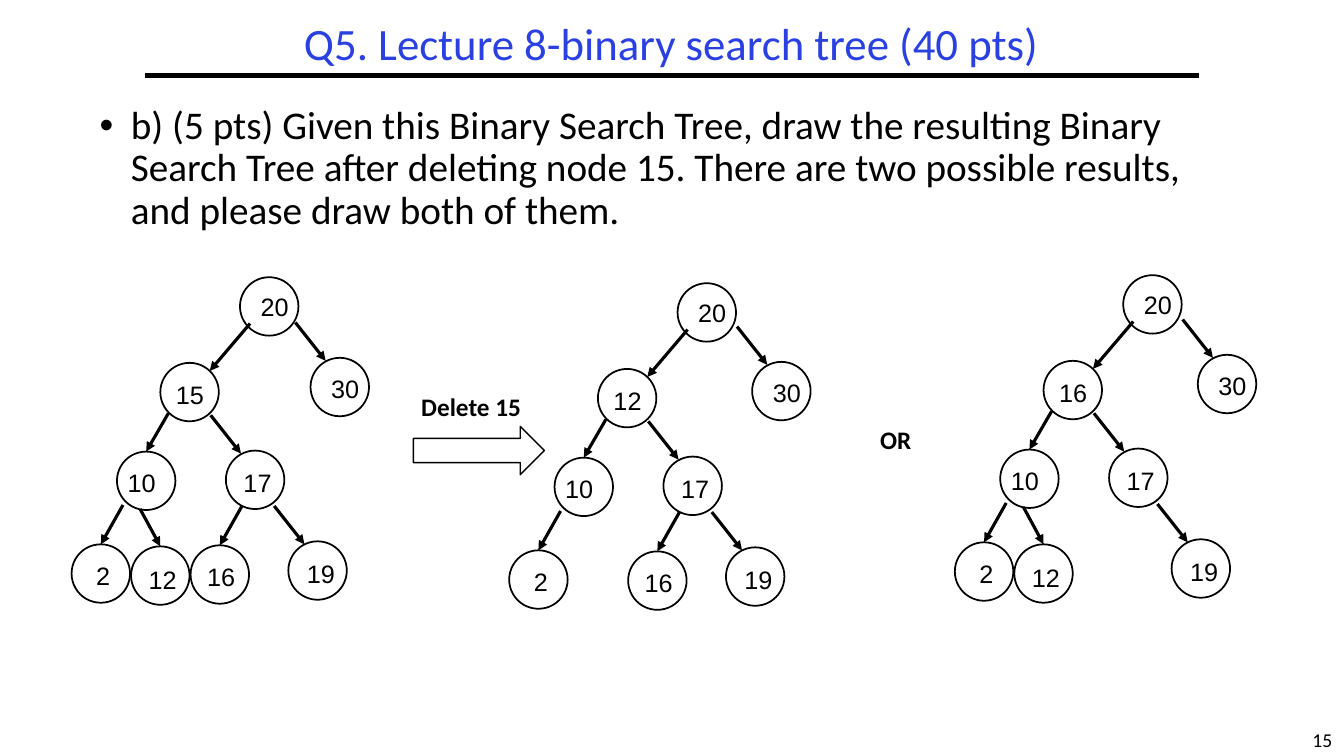
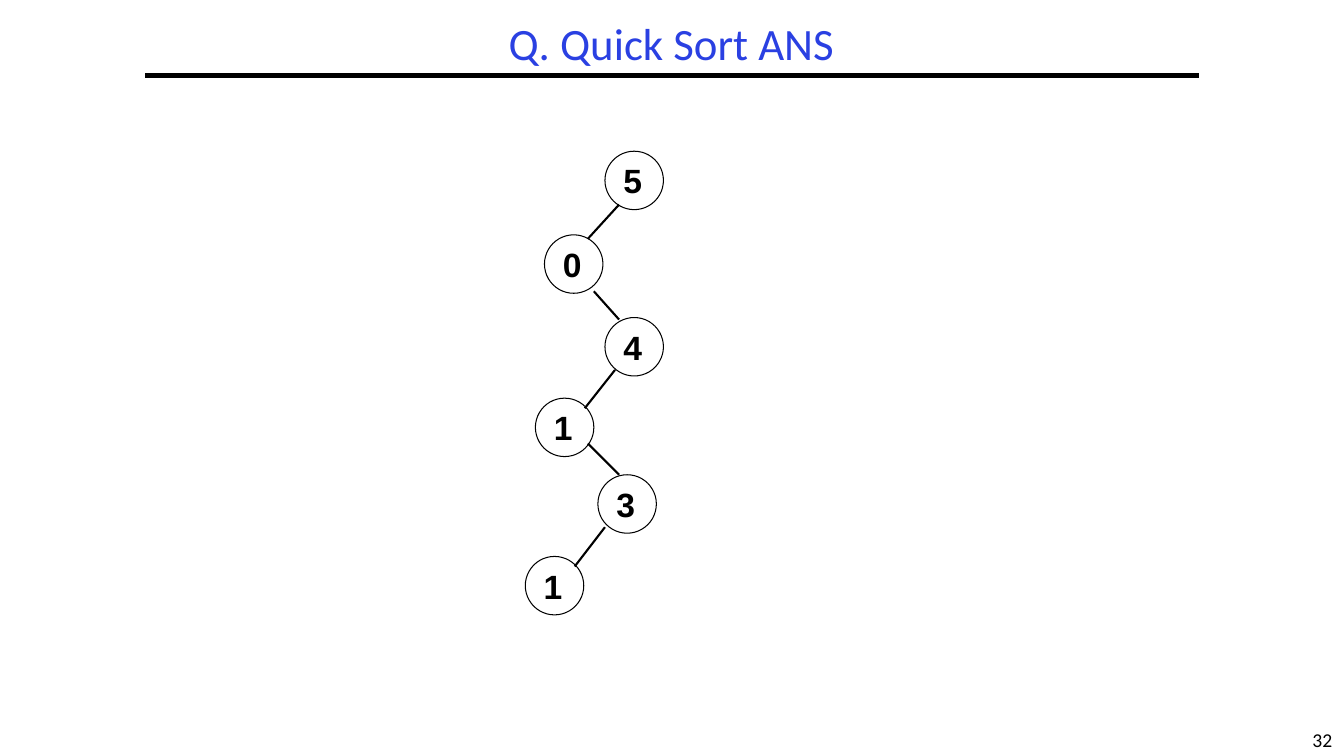
from lxml import etree
from pptx import Presentation
from pptx import util as u
from pptx.dml.color import RGBColor
from pptx.enum import shapes, text
from pptx.oxml import ns

# Lengths are px, 100 to the inch
PX = 9144
BLACK = RGBColor(0, 0, 0)
WHITE = RGBColor(255, 255, 255)
TITLE_BLUE = RGBColor(0x2A, 0x40, 0xE2)
LEFT, CENTER = text.PP_ALIGN.LEFT, text.PP_ALIGN.CENTER
TOP, MIDDLE = text.MSO_ANCHOR.TOP, text.MSO_ANCHOR.MIDDLE

TITLE_FONT = {"name": "Calibri", "size": u.Pt(32)}
BODY_FONT = {"name": "Calibri", "size": u.Pt(28)}
LABEL_FONT = {"name": "Calibri", "size": u.Pt(18), "bold": True}
PAGE_FONT = {"name": "Calibri", "size": u.Pt(14)}
TREE_FONT = {"name": "Arial", "size": u.Pt(18)}
CHAIN_FONT = {"name": "Arial", "size": u.Pt(24), "bold": True}

NODE = 58           # circle diameter
ELLIPSE_MARGIN = 8  # gap between a circle's frame and its text area

# Slide 1: question and trees
QUESTION = (
    "b) (5 pts) Given this Binary Search Tree, draw the resulting Binary "
    "Search Tree after deleting node 15. There are two possible results, "
    "and please draw both of them."
)
BULLET_INDENT = 31
# slot: circle position from the root, number position in the circle, arrow from parent
SLOTS = {
    "root": ((0, 0), (20, 14), None),
    "left": ((-79, 85), (15, 16), (10, 46, -30, 93)),
    "right": ((70, 80), (20, 15), (55, 45, 85, 83)),
    "left-left": ((-122, 173), (10, 15), (-71, 135, -93, 173)),
    "left-right": ((-14, 172), (17, 16), (-29, 137, 1, 175)),
    "leaf 1": ((-167, 265), (24, 15), (-116, 226, -138, 265)),
    "leaf 2": ((-108, 267), (17, 17), (-99, 230, -79, 267)),
    "leaf 3": ((-49, 266), (16, 15), (2, 227, -20, 266)),
    "leaf 4": ((48, 262), (18, 16), (34, 227, 64, 265)),
}
# root position, shift of the right child, numbers in slot order (None: no node)
TREES = [
    ((238, 275), (0, 0), (20, 15, 30, 10, 17, 2, 12, 16, 19)),
    ((672, 281), (4, -2), (20, 12, 30, 10, 17, 2, None, 16, 19)),
    ((1114, 273), (4, -1), (20, 16, 30, 10, 17, 2, 12, None, 19)),
]
LABELS = [("Delete 15", (408, 383, 126, 40)), ("OR", (863, 416, 63, 40))]
DELETE_ARROW = (410, 423, 130, 48)

# Slide 2: chain of pivots and the lines between them
PIVOTS = [(5, 600, 150), (0, 540, 233), (4, 600, 315),
          (1, 531, 395), (3, 593, 471), (1, 521, 552)]
PIVOT_LINES = [(614, 203, 583, 237), (589, 289, 614, 317), (610, 367, 580, 405),
               (583, 440, 614, 471), (600, 523, 570, 562)]


def px(*values):
    return [u.Emu(value * PX) for value in values]


def apply(target, **values):
    for name, value in values.items():
        setattr(target, name, value)


def fill_frame(frame, words, font, color=BLACK, align=LEFT, anchor=TOP,
               margins=(10, 5, 10, 5), wrap=True, spacing=1.0, bullet=False):
    left, top, right, bottom = px(*margins)
    apply(frame, word_wrap=wrap, vertical_anchor=anchor, margin_left=left,
          margin_top=top, margin_right=right, margin_bottom=bottom)
    paragraph = frame.paragraphs[0]
    apply(paragraph, alignment=align, line_spacing=spacing)
    if bullet:
        properties = paragraph._p.get_or_add_pPr()
        properties.set("marL", str(BULLET_INDENT * PX))
        properties.set("indent", str(-BULLET_INDENT * PX))
        etree.SubElement(properties, ns.qn("a:buFont"), typeface="Arial")
        etree.SubElement(properties, ns.qn("a:buChar"), char="•")
    run = paragraph.add_run()
    run.text = str(words)
    apply(run.font, **font)
    run.font.color.rgb = color


def add_text(slide, box, words, font, **layout):
    fill_frame(slide.shapes.add_textbox(*px(*box)).text_frame, words, font, **layout)


def add_outline(slide, kind, box, width):
    shape = slide.shapes.add_shape(kind, *px(*box))
    shape.shadow.inherit = False
    shape.fill.solid()
    shape.fill.fore_color.rgb = WHITE
    shape.line.color.rgb = BLACK
    shape.line.width = u.Pt(width)
    return shape


def add_node(slide, x, y, number, width, font, **layout):
    circle = add_outline(slide, shapes.MSO_SHAPE.OVAL, (x, y, NODE, NODE), width)
    fill_frame(circle.text_frame, number, font, **layout)


def add_line(slide, points, width, arrow=False):
    line = slide.shapes.add_connector(shapes.MSO_CONNECTOR.STRAIGHT, *px(*points))
    line.line.color.rgb = BLACK
    line.line.width = u.Pt(width)
    if arrow:
        etree.SubElement(line.line._get_or_add_ln(), ns.qn("a:tailEnd"), type="triangle")
    etree.SubElement(line._element.spPr, ns.qn("a:effectLst"))


def add_base(presentation, title, page):
    slide = presentation.slides.add_slide(presentation.slide_layouts[6])
    add_text(slide, (1290, 717, 43, 33), page, PAGE_FONT, align=CENTER, wrap=False)
    add_line(slide, (144, 75, 1189, 75), 3)
    add_text(slide, (144, 17, 1044, 58), title, TITLE_FONT, color=TITLE_BLUE,
             align=CENTER, anchor=MIDDLE, spacing=0.9)
    return slide


def add_tree(slide, root, right_shift, numbers):
    arrows = []
    for (name, (place, inset, arrow)), number in zip(SLOTS.items(), numbers):
        if number is None:
            continue
        shift = right_shift if name == "right" else (0, 0)
        x, y = (start + move for start, move in zip(root, shift))
        margins = (inset[0] - ELLIPSE_MARGIN, inset[1] - ELLIPSE_MARGIN, 0, 0)
        add_node(slide, x + place[0], y + place[1], number, 1.25, TREE_FONT,
                 margins=margins)
        if arrow:
            arrows.append([a + b for a, b in zip(arrow, (x, y, x, y))])
    for points in arrows:
        add_line(slide, points, 2.25, arrow=True)


def main():
    presentation = Presentation()
    presentation.slide_width, presentation.slide_height = px(1333, 750)

    # Binary search tree
    slide = add_base(presentation, "Q5. Lecture 8-binary search tree (40 pts)", 15)
    add_text(slide, (89, 100, 1156, 558), QUESTION, BODY_FONT, spacing=0.9, bullet=True)
    for tree in TREES:
        add_tree(slide, *tree)
    add_outline(slide, shapes.MSO_SHAPE.RIGHT_ARROW, DELETE_ARROW, 1)
    for words, box in LABELS:
        add_text(slide, box, words, LABEL_FONT)

    # Quick sort
    slide = add_base(presentation, "Q. Quick Sort ANS", 32)
    for number, x, y in PIVOTS:
        add_node(slide, x, y, number, 0.75, CHAIN_FONT, anchor=MIDDLE,
                 margins=(10, 0, 10, 0))
    for points in PIVOT_LINES:
        add_line(slide, points, 1.5)

    presentation.save("out.pptx")


if __name__ == "__main__":
    main()
